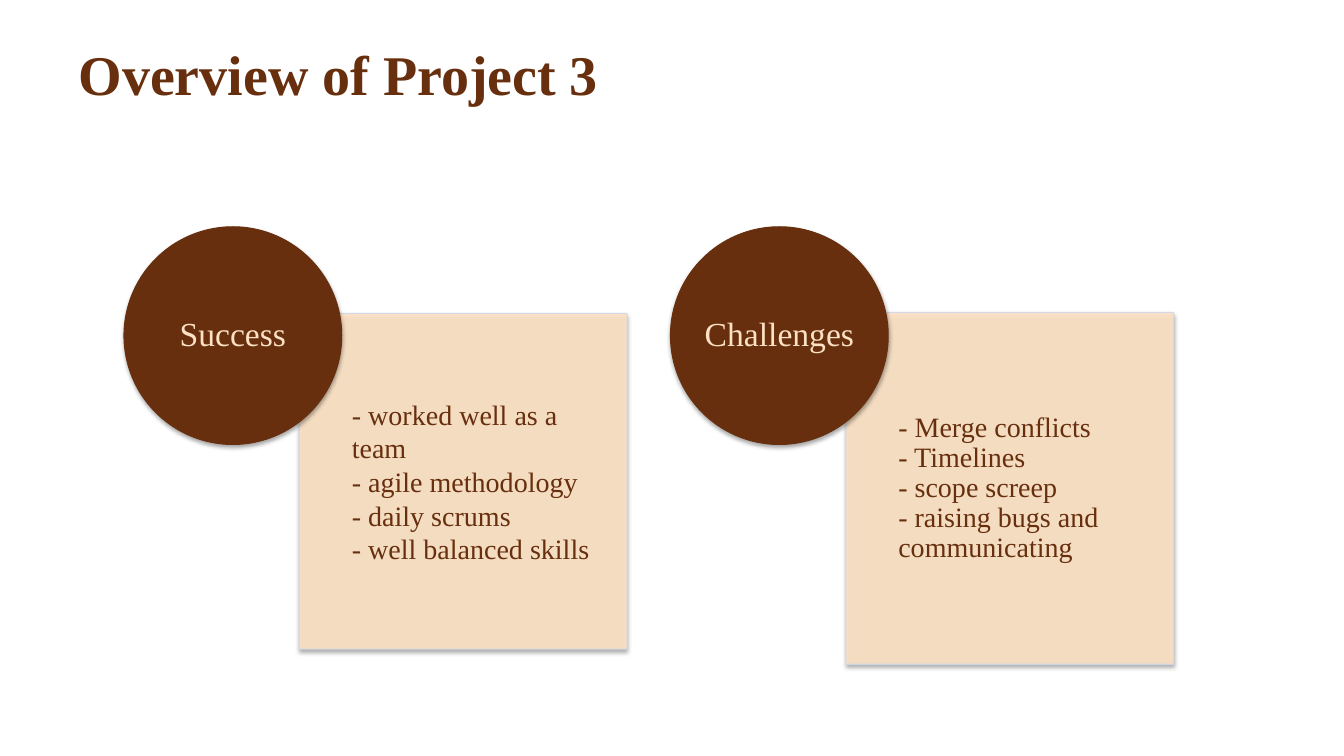
from lxml import etree
from pptx import Presentation
from pptx.dml.color import RGBColor
from pptx.enum.shapes import MSO_SHAPE
from pptx.enum.text import MSO_ANCHOR, PP_ALIGN
from pptx.oxml.ns import qn
from pptx.util import Inches, Pt

RECT, OVAL = MSO_SHAPE.RECTANGLE, MSO_SHAPE.OVAL
MIDDLE = MSO_ANCHOR.MIDDLE
LEFT, CENTER = PP_ALIGN.LEFT, PP_ALIGN.CENTER
BROWN = RGBColor(0x67, 0x2F, 0x0D)
CREAM = RGBColor(0xFC, 0xE1, 0xC4)
EDGE = RGBColor(0xD0, 0xD8, 0xE8)
FONT = "Times New Roman"

CARD_LEFT, CARD_TOP, CARD_PITCH = 1.23, 2.25, 5.42
CIRCLE = 2.16
PANEL_DX, PANEL_W = 1.74, 3.25
TEXT_INDENT = 0.16 * PANEL_W
LABEL_INSET = 0.145 * CIRCLE

CARDS = [
    ("Success",
     "- worked well as a team\n- agile methodology\n- daily scrums\n- well balanced skills",
     0.86, 3.33, 1.0),
    ("Challenges",
     "- Merge conflicts\n- Timelines\n- scope screep\n- raising bugs and communicating",
     0.85, 3.49, 0.9),
]


def set_alpha(parent, percent):
    color = parent.find(".//" + qn("a:srgbClr"))
    etree.SubElement(color, qn("a:alpha"), val=str(percent * 1000))


def add_shadow(sp):
    sp.shadow.inherit = False
    effects = sp._element.spPr.find(qn("a:effectLst"))
    shadow = etree.SubElement(effects, qn("a:outerShdw"), blurRad=str(Pt(3.1)),
                              dist=str(Pt(1.8)), dir="5400000", rotWithShape="0")
    etree.SubElement(shadow, qn("a:srgbClr"), val="000000")
    set_alpha(shadow, 35)


def add_block(s, kind, box, fill, line, alpha=None):
    sp = s.shapes.add_shape(kind, *map(Inches, box))
    sp.fill.solid()
    sp.fill.fore_color.rgb = fill
    sp.line.color.rgb = line
    sp.line.width = Pt(0.75)
    if alpha:
        spPr = sp._element.spPr
        set_alpha(spPr.find(qn("a:solidFill")), alpha)
        set_alpha(spPr.find(qn("a:ln")), alpha)
    add_shadow(sp)


def add_text(s, box, text, size, color, insets, align=LEFT, spacing=1.0, bold=False):
    tf = s.shapes.add_textbox(*map(Inches, box)).text_frame
    tf.word_wrap = True
    tf.vertical_anchor = MIDDLE
    tf.margin_left, tf.margin_top, tf.margin_right, tf.margin_bottom = map(Inches, insets)
    p = tf.paragraphs[0]
    p.text = text
    p.alignment = align
    p.line_spacing = spacing
    p.font.name = FONT
    p.font.size = Pt(size)
    p.font.bold = bold
    p.font.color.rgb = color


def add_title(s, box):
    add_text(s, box, "Overview of Project 3", 40, BROWN, (0.11, 0.05, 0.11, 0.05), bold=True)


def add_card(s, left, top, label, body, panel_dy, panel_h, spacing):
    x, y = left + PANEL_DX, top + panel_dy
    add_block(s, RECT, (x, y, PANEL_W, panel_h), CREAM, EDGE, alpha=90)
    add_text(s, (x + TEXT_INDENT, y, PANEL_W - TEXT_INDENT, panel_h), body, 20, BROWN,
             (0, 0.16, 0.16, 0.16), spacing=spacing)
    add_block(s, OVAL, (left, top, CIRCLE, CIRCLE), BROWN, BROWN)
    side = CIRCLE - 2 * LABEL_INSET
    add_text(s, (left + LABEL_INSET, top + LABEL_INSET, side, side), label, 24, CREAM,
             (0, 0, 0, 0), align=CENTER, spacing=0.9)


def main():
    prs = Presentation()
    prs.slide_width, prs.slide_height = Inches(13.33), Inches(7.5)
    s = prs.slides.add_slide(prs.slide_layouts[6])
    add_title(s, (0.67, 0.29, 12, 0.87))
    for i, card in enumerate(CARDS):
        add_card(s, CARD_LEFT + i * CARD_PITCH, CARD_TOP, *card)
    prs.save("out.pptx")


if __name__ == "__main__":
    main()
